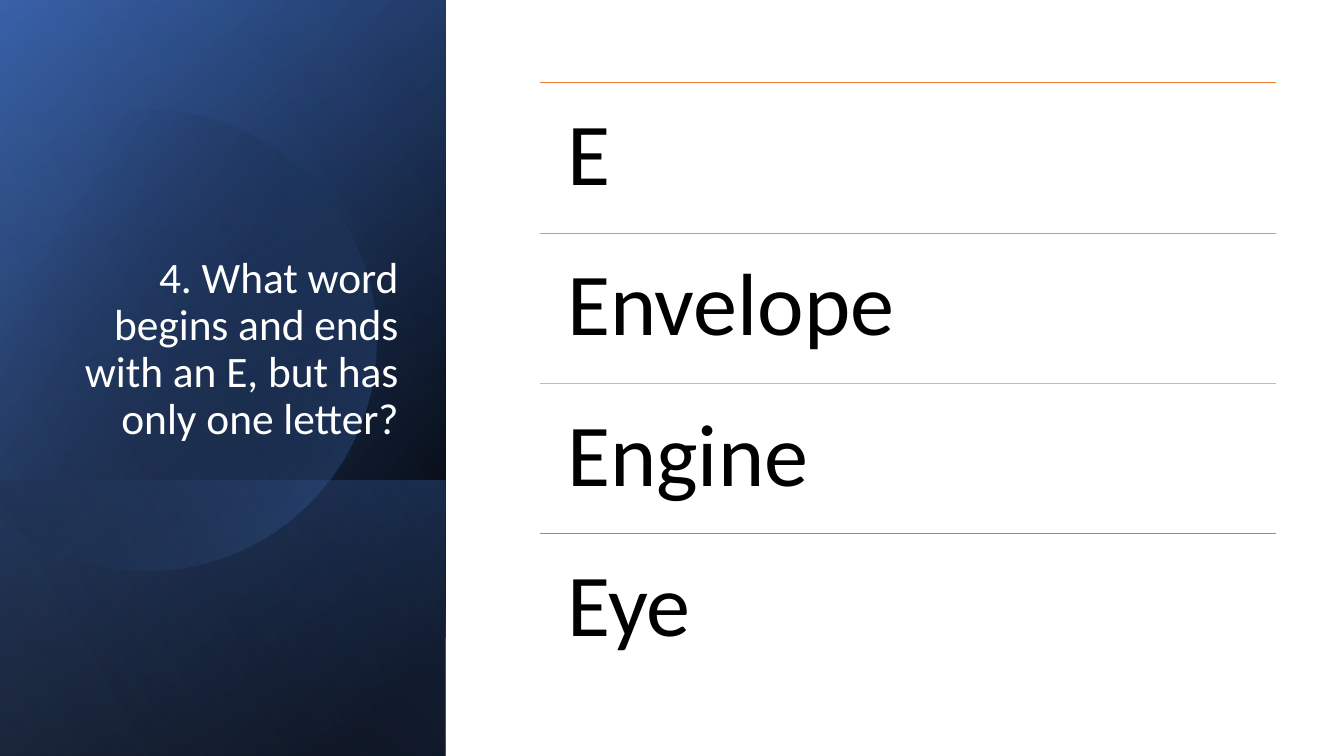
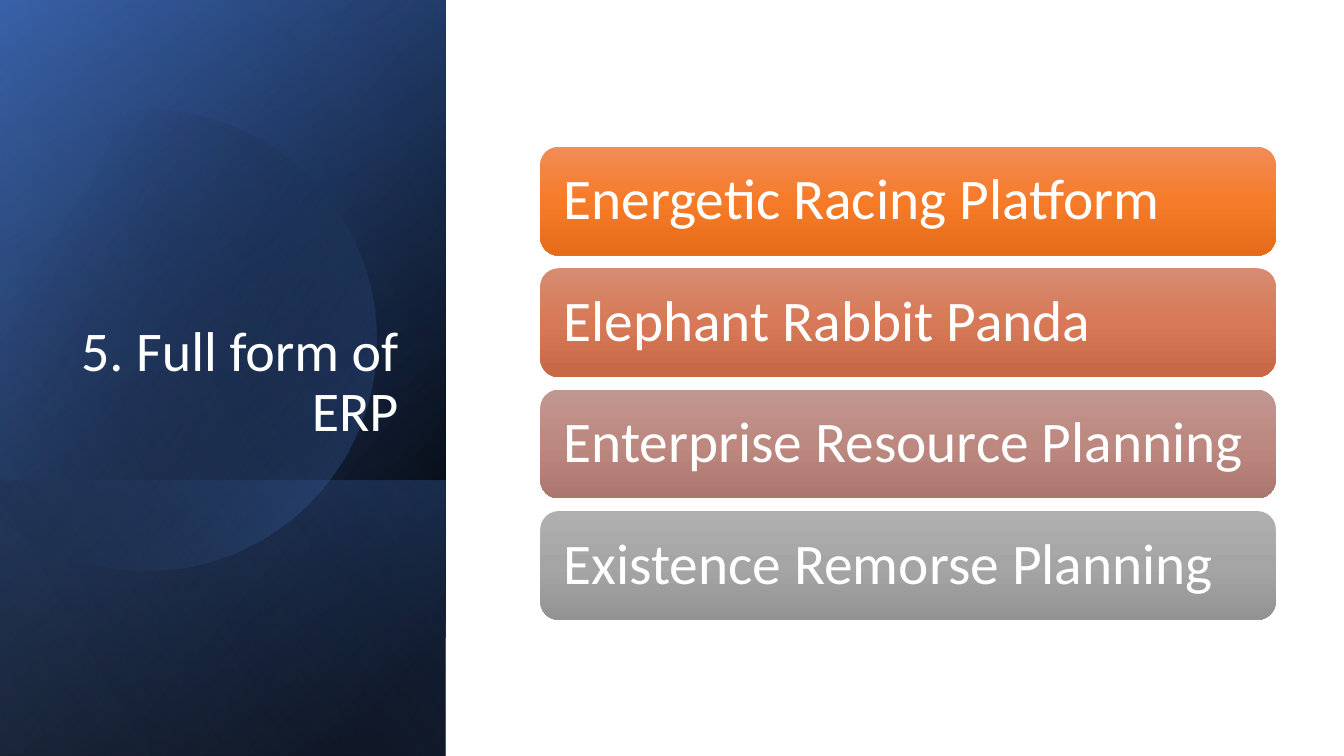
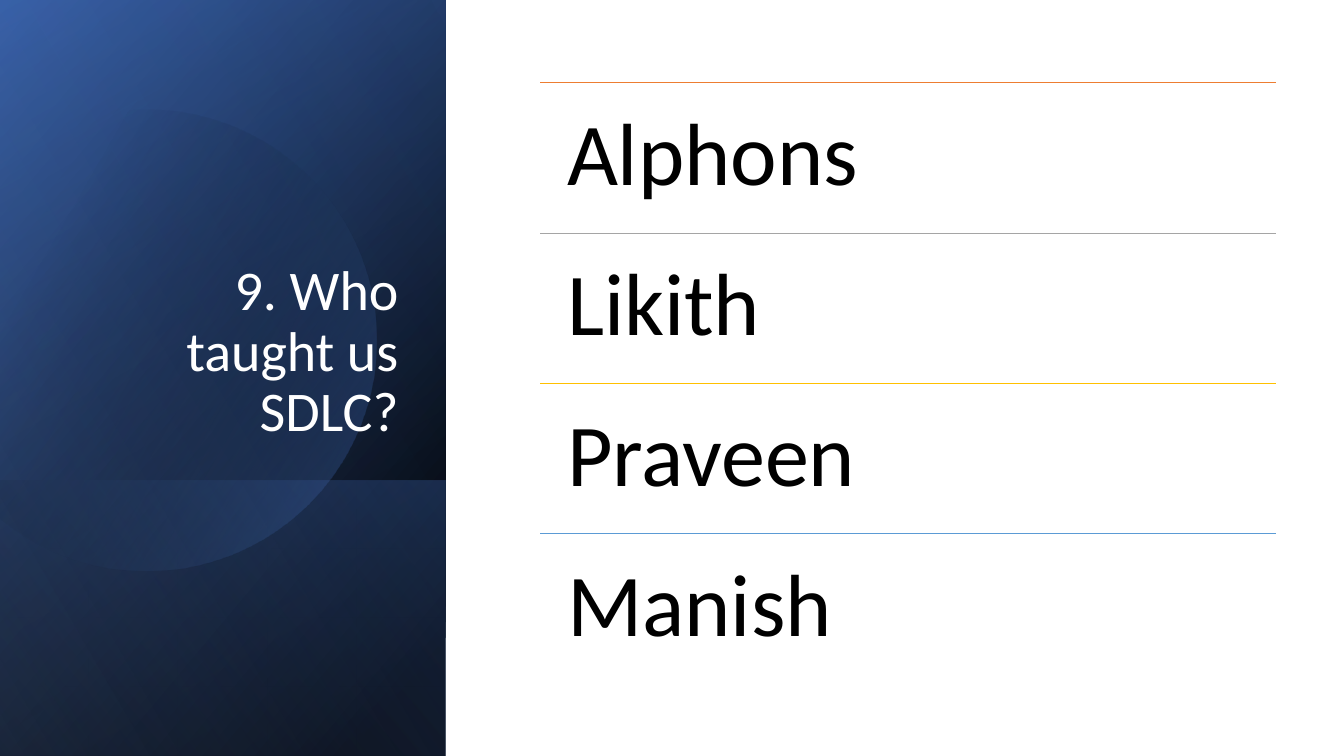
from collections import namedtuple

from lxml import etree
from pptx import Presentation
from pptx.dml.color import RGBColor
from pptx.enum.shapes import MSO_CONNECTOR, MSO_SHAPE
from pptx.enum.text import MSO_ANCHOR, MSO_AUTO_SIZE, PP_ALIGN
from pptx.oxml.ns import qn
from pptx.util import Cm, Pt

RECTANGLE = MSO_SHAPE.RECTANGLE
ROUNDED = MSO_SHAPE.ROUNDED_RECTANGLE
CHORD = MSO_SHAPE.CHORD
STRAIGHT = MSO_CONNECTOR.STRAIGHT
TOP, MIDDLE, BOTTOM = MSO_ANCHOR.TOP, MSO_ANCHOR.MIDDLE, MSO_ANCHOR.BOTTOM
LEFT, RIGHT = PP_ALIGN.LEFT, PP_ALIGN.RIGHT
NO_AUTOFIT = MSO_AUTO_SIZE.NONE

# All boxes are in centimetres.
Box = namedtuple("Box", "left top width height")
SLIDE_WIDTH, SLIDE_HEIGHT = 33.87, 19.05
PANEL = Box(0, 0, 11.23, SLIDE_HEIGHT)
RULED_AREA = Box(13.62, 2.08, 18.53, 15.16)
BAR_AREA = Box(13.62, 3.7, 18.53, 11.92)
BAR_GAP = 0.32

FONT = "Calibri"
WHITE, BLACK = "FFFFFF", "000000"
BLUE, DEEP_BLUE, PALE_BLUE = "4472C4", "2F5597", "8FAADC"
RULE_COLORS = ["ED7D31", "A5A5A5", "FFC000", "5B9BD5"]
BAR_COLORS = [
    ("F18C57", "F67B28", "E56C19"),
    ("D78B72", "D77956", "C66846"),
    ("C19791", "BC8880", "AA766E"),
    ("AFAFAF", "A5A5A5", "939393"),
]


def rgb(color):
    return RGBColor.from_string(color)


def emu(box):
    return [Cm(length) for length in box]


def split_rows(area, count, gap=0):
    """Return equal boxes stacked inside the area."""
    height = (area.height - gap * (count - 1)) / count
    return [Box(area.left, area.top + i * (height + gap), area.width, height)
            for i in range(count)]


def fill_gradient(shape, stops, angle):
    """Fill with (position %, colour, opacity %) stops, angle clockwise."""
    shape.fill.gradient()
    gradient = shape._element.spPr.find(qn("a:gradFill"))
    stop_list = gradient.find(qn("a:gsLst"))
    for old_stop in list(stop_list):
        stop_list.remove(old_stop)
    for position, color, opacity in stops:
        stop = etree.SubElement(stop_list, qn("a:gs"), pos=str(position * 1000))
        tint = etree.SubElement(stop, qn("a:srgbClr"), val=color)
        if opacity < 100:
            etree.SubElement(tint, qn("a:alpha"), val=str(opacity * 1000))
    gradient.find(qn("a:lin")).set("ang", str(angle * 60000))


def add_gradient_shape(slide, kind, box, stops, angle):
    shape = slide.shapes.add_shape(kind, *emu(box))
    shape.shadow.inherit = False
    shape.line.fill.background()
    fill_gradient(shape, stops, angle)
    return shape


def add_turned_band(slide, box, stops, angle):
    """Cover the box with a mirrored rectangle turned a quarter."""
    turned = Box(box.left + (box.width - box.height) / 2,
                 box.top + (box.height - box.width) / 2,
                 box.height, box.width)
    band = add_gradient_shape(slide, RECTANGLE, turned, stops, angle)
    band.rotation = 90
    band._element.spPr.find(qn("a:xfrm")).set("flipH", "1")


def write(shape, text, size, color, align, anchor, side_inset, end_inset):
    frame = shape.text_frame
    frame.word_wrap = True
    frame.auto_size = NO_AUTOFIT
    frame.vertical_anchor = anchor
    frame.margin_left = frame.margin_right = Cm(side_inset)
    frame.margin_top = frame.margin_bottom = Cm(end_inset)
    frame.text = text
    paragraph = frame.paragraphs[0]
    paragraph.alignment = align
    paragraph.line_spacing = 0.9
    font = paragraph.runs[0].font
    font.name, font.size, font.color.rgb = FONT, Pt(size), rgb(color)


def add_question_panel(slide, panel, question, size):
    add_turned_band(slide, panel, [(8, BLACK, 100), (100, DEEP_BLUE, 100)], 50)
    add_turned_band(slide, panel, [(0, BLACK, 0), (99, BLUE, 46)], 30)
    foot = Box(panel.left, panel.top + 12.1, panel.width, panel.height - 12.1)
    add_turned_band(slide, foot, [(2, BLUE, 29), (100, BLACK, 30)], 130)

    disc_box = Box(panel.left - 2.1, panel.top + 2.77, 11.6, 11.6)
    disc = add_gradient_shape(slide, CHORD, disc_box,
                              [(29, BLACK, 0), (100, BLUE, 43)], 30)
    # Chord angles count in 0.6 per degree; the cut lies on the panel's edge.
    disc.adjustments[0], disc.adjustments[1] = 230 * 0.6, 130 * 0.6

    add_turned_band(slide, panel, [(0, BLACK, 0), (99, PALE_BLUE, 11)], 120)

    title = slide.shapes.title
    title.left, title.top, title.width, title.height = emu(
        Box(panel.left + 1.63, panel.top + 4.67, 8.66, 6.65))
    write(title, question, size, WHITE, RIGHT, BOTTOM, 0.25, 0.13)
    # The title must lie above the panel.
    slide.shapes._spTree.append(title._element)


def add_ruled_answers(slide, area, answers):
    rows = split_rows(area, len(answers))
    for row, answer, color in zip(rows, answers, RULE_COLORS):
        left, top, width, _ = emu(row)
        rule = slide.shapes.add_connector(STRAIGHT, left, top, left + width, top)
        rule.line.color.rgb = rgb(color)
        rule.line.width = Pt(0.5)
        etree.SubElement(rule._element.spPr, qn("a:effectLst"))
        label = slide.shapes.add_textbox(*emu(row))
        write(label, answer, 63, BLACK, LEFT, TOP, 0.67, 0.67)


def add_bar_answers(slide, area, answers):
    rows = split_rows(area, len(answers), BAR_GAP)
    for row, answer, colors in zip(rows, answers, BAR_COLORS):
        stops = [(position, color, 100)
                 for position, color in zip((0, 50, 100), colors)]
        bar = add_gradient_shape(slide, ROUNDED, row, stops, 90)
        write(bar, answer, 41, WHITE, LEFT, MIDDLE, 0.45, 0.45)


QUESTIONS = [
    ("4. What word begins and ends with an E, but has only one letter?", 31,
     add_ruled_answers, RULED_AREA, ["E", "Envelope", "Engine", "Eye"]),
    ("5. Full form of ERP", 40, add_bar_answers, BAR_AREA,
     ["Energetic Racing Platform", "Elephant Rabbit Panda",
      "Enterprise Resource Planning", "Existence Remorse Planning"]),
    ("9. Who taught us SDLC?", 40, add_ruled_answers, RULED_AREA,
     ["Alphons", "Likith", "Praveen", "Manish"]),
]


def main():
    deck = Presentation()
    deck.slide_width, deck.slide_height = Cm(SLIDE_WIDTH), Cm(SLIDE_HEIGHT)
    title_only = deck.slide_layouts[5]
    for question, size, add_answers, area, answers in QUESTIONS:
        slide = deck.slides.add_slide(title_only)
        add_question_panel(slide, PANEL, question, size)
        add_answers(slide, area, answers)
    deck.save("out.pptx")


if __name__ == "__main__":
    main()
